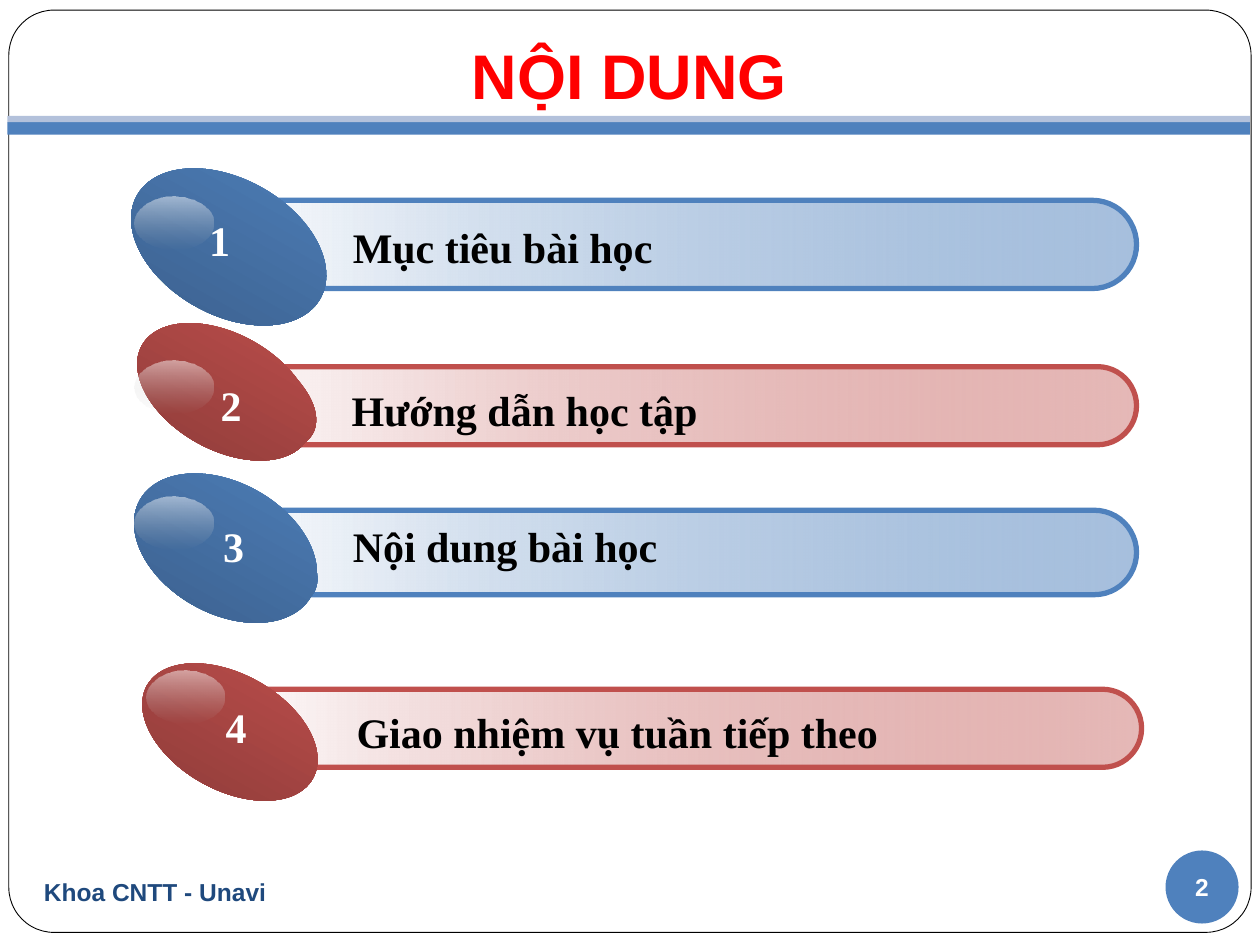
from lxml import etree
from pptx import Presentation
from pptx.dml.color import RGBColor
from pptx.enum.shapes import MSO_SHAPE
from pptx.enum.text import MSO_ANCHOR, PP_ALIGN
from pptx.oxml.ns import qn
from pptx.util import Inches, Pt

ROUNDED = MSO_SHAPE.ROUNDED_RECTANGLE
RECTANGLE = MSO_SHAPE.RECTANGLE
OVAL = MSO_SHAPE.OVAL
TOP, MIDDLE, BOTTOM = MSO_ANCHOR.TOP, MSO_ANCHOR.MIDDLE, MSO_ANCHOR.BOTTOM
LEFT, CENTER = PP_ALIGN.LEFT, PP_ALIGN.CENTER
COLORS = {
    "white": "FFFFFF", "black": "000000", "title": "FF0000", "footer": "1F497D",
    "blue": "4F81BD", "dark blue": "395C87", "pale blue": "B3C1DB",
    "red": "C0504D", "dark red": "893937", "gray": "B6B6B6",
}

presentation = Presentation()
presentation.slide_width = Inches(10)
presentation.slide_height = Inches(7.5)
slide = presentation.slides.add_slide(presentation.slide_layouts[6])


def add_shape(kind, box, fill, line=None, width=0, angle=0, opacity=(100, 100)):
    shape = slide.shapes.add_shape(kind, *map(Inches, box))
    shape.shadow.inherit = False
    if isinstance(fill, str):
        shape.fill.solid()
        shape.fill.fore_color.rgb = RGBColor.from_string(COLORS[fill])
    else:
        shape.fill.gradient()
        shape.fill.gradient_angle = angle
        for stop, name in zip(shape.fill.gradient_stops, fill):
            stop.color.rgb = RGBColor.from_string(COLORS[name])
        gradient = shape._element.spPr.find(qn("a:gradFill"))
        for color, percent in zip(gradient.iter(qn("a:srgbClr")), opacity):
            if percent < 100:
                etree.SubElement(color, qn("a:alpha")).set("val", str(percent * 1000))
    if line:
        shape.line.color.rgb = RGBColor.from_string(COLORS[line])
        shape.line.width = Pt(width)
    else:
        shape.line.fill.background()
    return shape


def write(shape, text, size, color, font="Arial", align=LEFT, anchor=TOP,
          margins=(0.1, 0.05, 0.1, 0.05), wrap=True):
    frame = shape.text_frame
    frame.text = text
    frame.word_wrap = wrap
    frame.vertical_anchor = anchor
    frame.margin_left, frame.margin_top, frame.margin_right, frame.margin_bottom = map(Inches, margins)
    paragraph = frame.paragraphs[0]
    paragraph.alignment = align
    run_font = paragraph.runs[0].font
    run_font.name = font
    run_font.size = Pt(size)
    run_font.bold = True
    run_font.color.rgb = RGBColor.from_string(COLORS[color])


border = add_shape(ROUNDED, (0.07, 0.08, 9.86, 7.32), "white", "black", 0.5)
border.adjustments[0] = 0.049
add_shape(RECTANGLE, (0.06, 0.97, 9.86, 0.1), "blue")
add_shape(RECTANGLE, (0.06, 0.92, 9.86, 0.05), "pale blue")

title = slide.shapes.add_textbox(*map(Inches, (0.33, 0.07, 9.33, 0.92)))
write(title, "NỘI DUNG", 36, "title", align=CENTER, anchor=BOTTOM, margins=(0.1, 0.05, 0.1, 0.1))
page_number = add_shape(OVAL, (9.25, 6.75, 0.58, 0.58), "blue")
write(page_number, "2", 14, "white", align=CENTER, anchor=MIDDLE, margins=(0, 0, 0, 0), wrap=False)
footer = slide.shapes.add_textbox(*map(Inches, (0.25, 6.83, 4.08, 0.5)))
write(footer, "Khoa CNTT - Unavi", 14, "footer", anchor=MIDDLE)

items = [
    ("Mục tiêu bài học", "blue", 50, (1.73, 1.59, 7.29, 0.7), (1.2, 1.65),
     (0.98, 1.42, 1.67, 1.08), (1.07, 1.56), (2.45, 1.71), (1.57, 1.65)),
    ("Hướng dẫn học tập", "red", 40, (1.73, 2.91, 7.29, 0.62), (1.19, 2.73),
     (1.03, 2.65, 1.51, 0.92), (1.07, 2.86), (2.44, 3), (1.57, 2.96)),
    ("Nội dung bài học", "blue", 50, (1.73, 4.05, 7.29, 0.67), (1.2, 3.99),
     (1.01, 3.83, 1.56, 1.04), (1.07, 3.94), (2.45, 4.08), (1.59, 4.08)),
    ("Giao nhiệm vụ tuần tiếp theo", "red", 40, (1.77, 5.47, 7.29, 0.62), None,
     (1.07, 5.35, 1.51, 0.92), (1.16, 5.32), (2.48, 5.56), (1.61, 5.52)),
]
items[0] = items[0][:-1] + ((1.48, 1.65),)

for number, (text, color, opacity, bar_box, inner, oval_box, gloss, label_at, number_at) in enumerate(items, 1):
    bar = add_shape(ROUNDED, bar_box, ("white", color), color, 3, opacity=(100, opacity))
    bar.adjustments[0] = 0.5
    ovals = [oval_box]
    if inner:
        ovals.insert(0, (*inner, 1.38, 0.75))
    for box in ovals:
        oval = add_shape(OVAL, box, (color, "dark " + color), angle=270)
        oval.rotation = 29.3
    add_shape(OVAL, (*gloss, 0.62, 0.42), ("white", "gray"), angle=270, opacity=(50, 0))
    label = slide.shapes.add_textbox(*map(Inches, (*label_at, 5.8, 0.5)))
    write(label, text, 24, "black", "Times New Roman", margins=(0.35, 0.05, 0.1, 0.05))
    digit = slide.shapes.add_textbox(*map(Inches, (*number_at, 0.45, 0.5)))
    write(digit, str(number), 24, "white", "Times New Roman",
          margins=(0.18, 0.05, 0.1, 0.05), wrap=False)

presentation.save("out.pptx")
